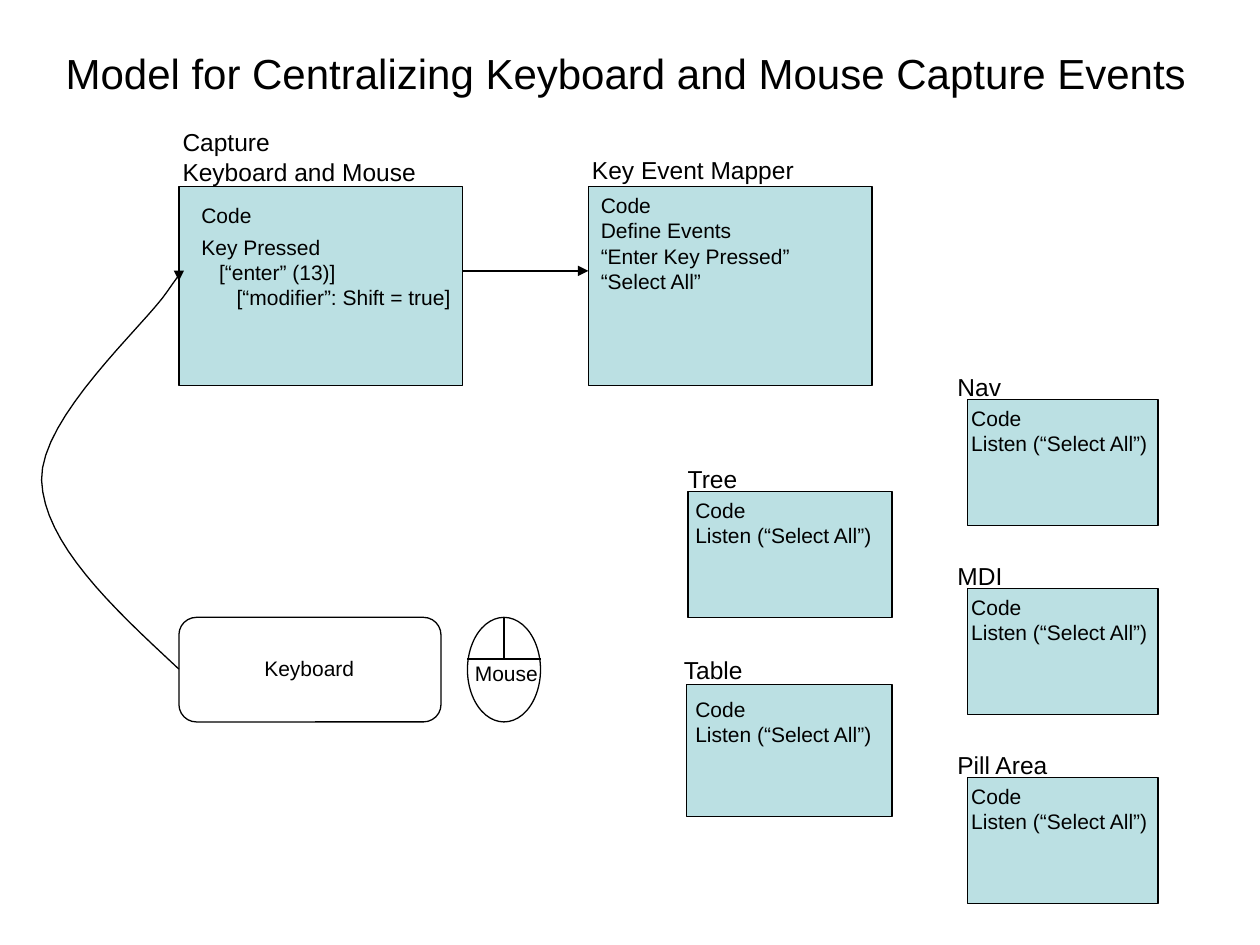
"""Build the slide on centralizing keyboard and mouse capture events."""
from lxml.etree import SubElement
from pptx import Presentation
from pptx.dml.color import RGBColor
from pptx.enum.shapes import MSO_CONNECTOR, MSO_SHAPE
from pptx.enum.text import MSO_ANCHOR, MSO_AUTO_SIZE, PP_ALIGN
from pptx.oxml.ns import qn
from pptx.util import Inches, Pt

BLACK = RGBColor(0x00, 0x00, 0x00)
TEAL = RGBColor(0xBB, 0xE0, 0xE3)
FONT = "Arial"


def outline(sp, fill=None):
    sp.shadow.inherit = False
    sp.line.color.rgb = BLACK
    sp.line.width = Pt(0.75)
    if fill is None:
        sp.fill.background()
    else:
        sp.fill.solid()
        sp.fill.fore_color.rgb = fill
    return sp


def write(sp, lines, size, indent=0):
    tf = sp.text_frame
    tf.word_wrap = True
    tf.auto_size = MSO_AUTO_SIZE.SHAPE_TO_FIT_TEXT
    tf.vertical_anchor = MSO_ANCHOR.TOP
    for i, line in enumerate(lines):
        p = tf.paragraphs[0] if i == 0 else tf.add_paragraph()
        p.alignment = PP_ALIGN.LEFT
        if indent:
            p._p.get_or_add_pPr().set("marL", str(Inches(i * indent)))
        r = p.add_run()
        r.text = line
        r.font.name = FONT
        r.font.size = Pt(size)
        r.font.color.rgb = BLACK


prs = Presentation()
prs.slide_width, prs.slide_height = Inches(10), Inches(7.5)
s = prs.slides.add_slide(prs.slide_layouts[5])
shapes = s.shapes

title = shapes.title
title.left, title.top = Inches(0.42), Inches(0.33)
title.width, title.height = Inches(9.3), Inches(0.5)
write(title, ["Model for Centralizing Keyboard and Mouse Capture Events"], 24)

boxes = [
    (1.42, 1.48, 2.25, 1.58),
    (4.67, 1.48, 2.25, 1.58),
    (5.46, 3.9, 1.62, 1),
    (5.45, 5.43, 1.63, 1.05),
    (7.68, 3.17, 1.51, 1),
    (7.68, 4.67, 1.51, 1),
    (7.68, 6.17, 1.51, 1),
]
for box in boxes:
    outline(shapes.add_shape(MSO_SHAPE.RECTANGLE, *map(Inches, box)), TEAL)

outline(shapes.add_shape(
    MSO_SHAPE.ROUNDED_RECTANGLE, Inches(1.42), Inches(4.9), Inches(2.08), Inches(0.83)))
outline(shapes.add_shape(
    MSO_SHAPE.OVAL, Inches(3.71), Inches(4.9), Inches(0.58), Inches(0.83)))

lines = [
    (4, 4.9, 4, 5.23),
    (3.71, 5.23, 4.29, 5.23),
    (3.67, 2.15, 4.67, 2.15),
]
for ends in lines:
    mapper_arrow = shapes.add_connector(MSO_CONNECTOR.STRAIGHT, *map(Inches, ends))
    mapper_arrow.line.color.rgb = BLACK
    mapper_arrow.line.width = Pt(0.75)
    SubElement(mapper_arrow._element.spPr, qn("a:effectLst"))

curves = [
    ((1.42, 5.31), (0.88, 4.81), (0.35, 4.31), (0.33, 3.81)),
    ((0.33, 3.81), (0.32, 3.31), (1.15, 2.58), (1.33, 2.31)),
    ((1.33, 2.31), (1.51, 2.05), (1.4, 2.24), (1.42, 2.23)),
]
steps = 16
points = []
for curve in curves:
    for i in range(1, steps + 1):
        t = i / steps
        weights = ((1 - t) ** 3, 3 * t * (1 - t) ** 2, 3 * t ** 2 * (1 - t), t ** 3)
        points.append(tuple(
            Inches(sum(w * pt[axis] for w, pt in zip(weights, curve))) for axis in (0, 1)))
builder = shapes.build_freeform(Inches(1.42), Inches(5.31))
builder.add_line_segments(points, close=False)
keyboard_arrow = outline(builder.convert_to_shape())

for arrow in (mapper_arrow, keyboard_arrow):
    SubElement(arrow.line._get_or_add_ln(), qn("a:tailEnd"), type="triangle")

listener = ["Code", "Listen (“Select All”)"]
labels = [
    (1.35, 0.96, 2.25, 0.57, 14, ["Capture", "Keyboard and Mouse"]),
    (4.6, 1.18, 2, 0.34, 14, ["Key Event Mapper"]),
    (5.36, 3.63, 0.8, 0.34, 14, ["Tree"]),
    (5.33, 5.15, 0.9, 0.34, 14, ["Table"]),
    (7.5, 2.9, 0.75, 0.34, 14, ["Nav"]),
    (7.5, 4.4, 0.75, 0.34, 14, ["MDI"]),
    (7.5, 5.9, 1.1, 0.34, 14, ["Pill Area"]),
    (2, 5.15, 1.1, 0.3, 12, ["Keyboard"]),
    (3.67, 5.19, 0.85, 0.3, 12, ["Mouse"]),
    (1.5, 1.56, 0.8, 0.3, 12, ["Code"]),
    (4.67, 1.48, 1.9, 0.9, 12,
     ["Code", "Define Events", "“Enter Key Pressed”", "“Select All”"]),
]
for x, y in [(5.42, 3.9), (5.42, 5.48), (7.61, 3.17), (7.61, 4.67), (7.61, 6.17)]:
    labels.append((x, y, 1.75, 0.5, 12, listener))
for *place, size, text in labels:
    write(shapes.add_textbox(*map(Inches, place)), text, size)

key_code = shapes.add_textbox(Inches(1.5), Inches(1.81), Inches(2.35), Inches(0.7))
write(key_code, ["Key Pressed", "[“enter” (13)]", "[“modifier”: Shift = true]"], 12, 0.14)

prs.save("out.pptx")
